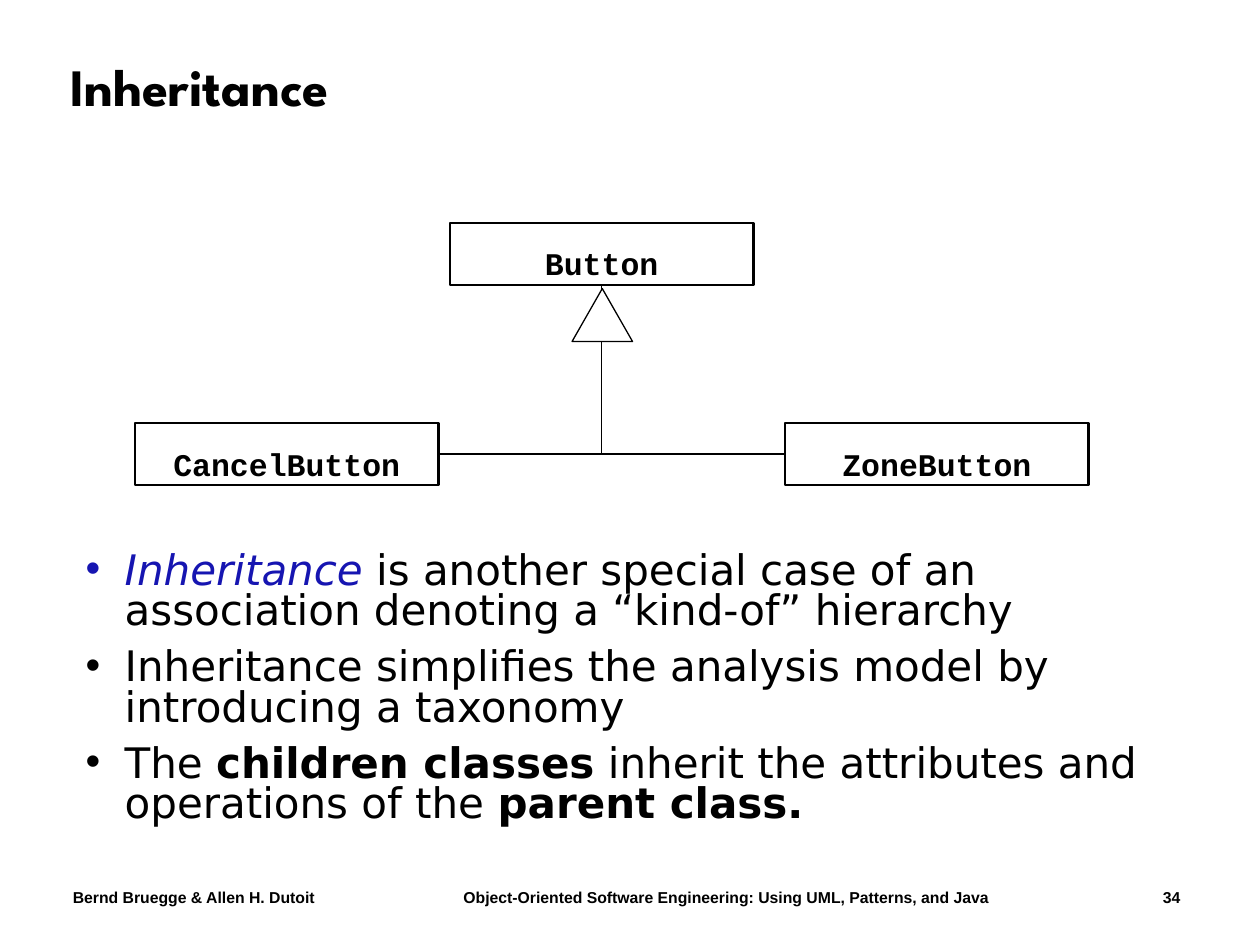
from lxml import etree
from pptx import Presentation
from pptx.dml.color import RGBColor
from pptx.enum.shapes import MSO_CONNECTOR, MSO_SHAPE
from pptx.enum.text import MSO_ANCHOR, MSO_AUTO_SIZE, PP_ALIGN
from pptx.oxml.ns import qn
from pptx.util import Inches, Pt

ELBOW = MSO_CONNECTOR.ELBOW
RECT, TRI = MSO_SHAPE.RECTANGLE, MSO_SHAPE.ISOSCELES_TRIANGLE
MIDDLE, BOTTOM, TOP = MSO_ANCHOR.MIDDLE, MSO_ANCHOR.BOTTOM, MSO_ANCHOR.TOP
LEFT, CENTER = PP_ALIGN.LEFT, PP_ALIGN.CENTER
NO_FIT = MSO_AUTO_SIZE.NONE

COLORS = {name: RGBColor.from_string(code) for name, code in {
    "ink": "000000", "blue": "1615B1", "white": "FFFFFF"}.items()}
FONTS = {
    "title": {"name": "League Spartan", "size": Pt(30), "bold": True},
    "body": {"name": "DejaVu Sans", "size": Pt(24), "bold": False},
    "label": {"name": "Courier New", "size": Pt(18), "bold": True},
    "foot": {"name": "Arial", "size": Pt(9), "bold": True},
}


def place(shape, *box):
    for key, val in zip(("left", "top", "width", "height"), box):
        setattr(shape, key, Inches(val))


def add_run(para, text, kind, color="ink", **extra):
    run = para.add_run()
    run.text = text
    for key, val in {**FONTS[kind], **extra}.items():
        setattr(run.font, key, val)
    run.font.color.rgb = COLORS[color]


deck = Presentation()
deck.slide_width, deck.slide_height = Inches(10), Inches(7.5)
slide = deck.slides.add_slide(deck.slide_layouts[1])
shapes = slide.shapes

# Title
title = shapes.title
place(title, 0.46, 0.24, 8.92, 0.94)
frame = title.text_frame
frame.auto_size, frame.vertical_anchor = NO_FIT, MIDDLE
para = frame.paragraphs[0]
para.alignment, para.line_spacing = LEFT, 0.9
add_run(para, "Inheritance", "title")

# Bulleted list
POINTS = [
    [("Inheritance ", {"color": "blue", "italic": True}),
     ("is another special case of an association denoting "
      "a “kind-of” hierarchy", {})],
    [("Inheritance simplifies the analysis model by "
      "introducing a taxonomy", {})],
    [("The ", {}), ("children classes", {"bold": True}),
     (" inherit the attributes and operations of the ", {}),
     ("parent class.", {"bold": True})],
]
body = slide.placeholders[1]
place(body, 0.58, 4.34, 8.75, 2.33)
frame = body.text_frame
frame.auto_size, frame.vertical_anchor = NO_FIT, TOP
for i, point in enumerate(POINTS):
    para = frame.add_paragraph() if i else frame.paragraphs[0]
    props = para._p.get_or_add_pPr()
    props.set("marL", str(Inches(0.31)))
    props.set("indent", str(Inches(-0.31)))
    etree.SubElement(props, qn("a:buChar")).set("char", "•")
    para.line_spacing, para.space_before = 0.8, Pt(9 if i else 0)
    for text, extra in point:
        add_run(para, text, "body", **extra)

# Class boxes with their names
CLASSES = {
    "Button": (3.57, 1.77),
    "CancelButton": (1.07, 3.36),
    "ZoneButton": (6.23, 3.36),
}
WIDE, HIGH = 2.41, 0.49
nodes = {}
for name, (x, y) in CLASSES.items():
    node = shapes.add_shape(RECT, *map(Inches, (x, y, WIDE, HIGH)))
    node.shadow.inherit = False
    node.fill.background()
    node.line.color.rgb, node.line.width = COLORS["ink"], Pt(1.25)
    nodes[name] = node
    span = 0.15 * len(name)
    label = shapes.add_textbox(
        *map(Inches, (x + (WIDE - span) / 2, y + 0.17, span, 0.3)))
    frame = label.text_frame
    for side in ("left", "top", "right", "bottom"):
        setattr(frame, f"margin_{side}", 0)
    frame.word_wrap, frame.vertical_anchor = False, BOTTOM
    para = frame.paragraphs[0]
    para.alignment = CENTER
    add_run(para, name, "label")

# Elbow lines from each child to the parent
for child, site in (("CancelButton", 3), ("ZoneButton", 1)):
    link = shapes.add_connector(ELBOW, 0, 0, 0, 0)
    link.begin_connect(nodes[child], site)
    link.end_connect(nodes["Button"], 2)
    link.line.color.rgb, link.line.width = COLORS["ink"], Pt(0.75)
    props = link._element.spPr
    props.find(qn("a:prstGeom")).set("prst", "bentConnector2")
    etree.SubElement(props, qn("a:effectLst"))

# Inheritance triangle
tip = shapes.add_shape(TRI, *map(Inches, (4.54, 2.29, 0.48, 0.42)))
tip.shadow.inherit = False
tip.fill.solid()
tip.fill.fore_color.rgb = COLORS["white"]
tip.line.color.rgb, tip.line.width = COLORS["ink"], Pt(0.75)

# Footer, spread over tab stops
foot = shapes.add_textbox(*map(Inches, (0.48, 7, 9, 0.25)))
foot.text_frame.word_wrap = True
para = foot.text_frame.paragraphs[0]
tabs = etree.SubElement(para._p.get_or_add_pPr(), qn("a:tabLst"))
for pos, side in ((3.1, "l"), (8.79, "r")):
    tab = etree.SubElement(tabs, qn("a:tab"))
    tab.set("pos", str(Inches(pos)))
    tab.set("algn", side)
add_run(para, "Bernd Bruegge & Allen H. Dutoit\tObject-Oriented Software "
        "Engineering: Using UML, Patterns, and Java\t34", "foot")

deck.save("out.pptx")
